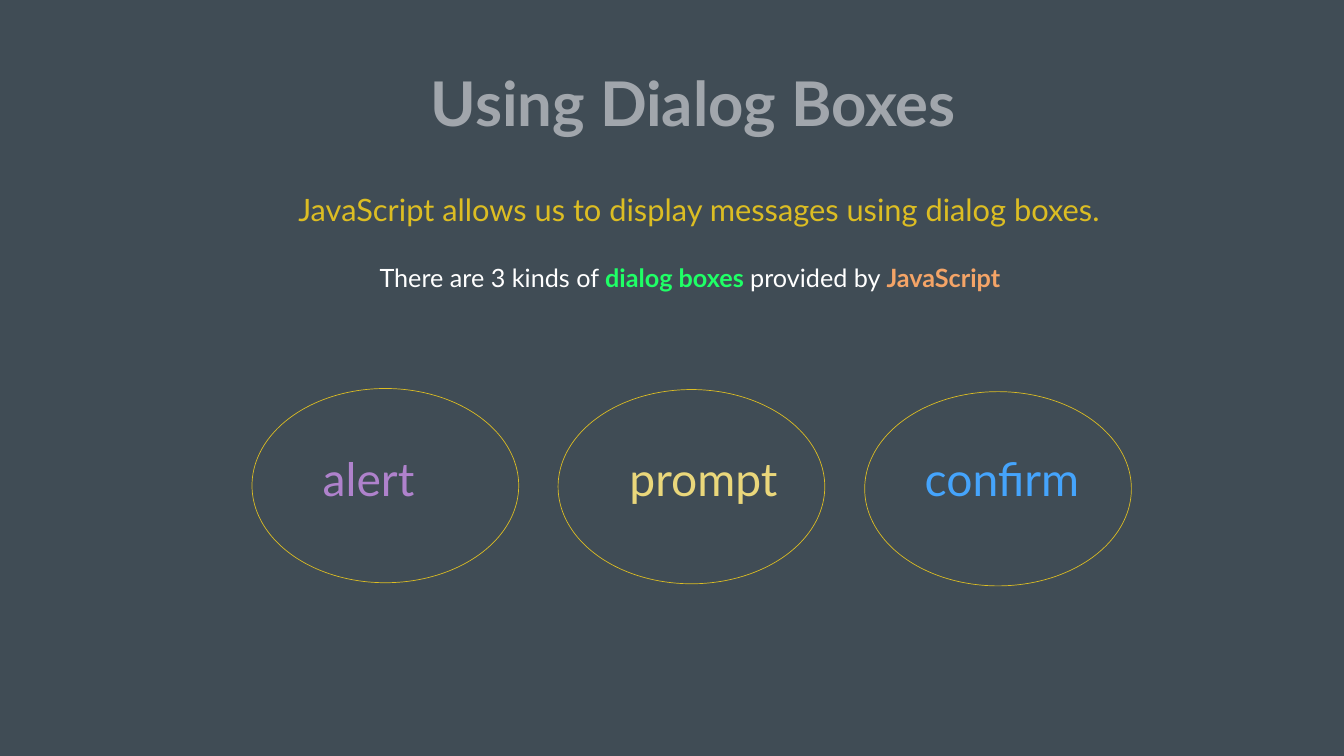
from dataclasses import dataclass

from pptx import Presentation
from pptx.dml.color import RGBColor
from pptx.enum.shapes import MSO_SHAPE
from pptx.enum.text import MSO_ANCHOR, PP_ALIGN
from pptx.slide import Slide
from pptx.util import Emu, Pt

EMU_PER_PX = 9525
SLIDE_WIDTH, SLIDE_HEIGHT = 2560, 1440
OVAL_WIDTH, OVAL_HEIGHT = 508, 370
LABEL_TOP = 850


@dataclass(frozen=True)
class Theme:
    font: str = "Lato"
    background: str = "404C55"
    title: str = "A1A6AC"
    gold: str = "DCBD23"
    white: str = "FFFFFF"
    green: str = "1FFF66"
    orange: str = "F4A467"
    purple: str = "AF82CC"
    yellow: str = "EAD77B"
    blue: str = "45A4FC"
    title_size: int = 88
    label_size: int = 66
    intro_size: int = 44
    detail_size: int = 36
    line_width: int = 1


THEME = Theme()


@dataclass(frozen=True)
class Box:
    left: int
    top: int
    width: int
    height: int

    def emu(self) -> tuple[Emu, ...]:
        return tuple(
            Emu(length * EMU_PER_PX)
            for length in (self.left, self.top, self.width, self.height)
        )


@dataclass(frozen=True)
class TextRun:
    text: str
    color: str
    bold: bool = False


@dataclass(frozen=True)
class TextBlock:
    box: Box
    size: int
    runs: tuple[TextRun, ...]
    inset: int = 8
    anchor: MSO_ANCHOR = MSO_ANCHOR.TOP


@dataclass(frozen=True)
class DialogKind:
    oval_left: int
    oval_top: int
    label: TextRun
    label_box: Box


HEADINGS = (
    TextBlock(
        Box(148, 115, 2345, 157),
        THEME.title_size,
        (TextRun("Using Dialog Boxes", THEME.title, True),),
        anchor=MSO_ANCHOR.MIDDLE,
    ),
    TextBlock(
        Box(391, 364, 1882, 142),
        THEME.intro_size,
        (TextRun("JavaScript allows us to display messages using dialog boxes.", THEME.gold),),
        inset=0,
    ),
    TextBlock(
        Box(355, 492, 1918, 132),
        THEME.detail_size,
        (
            TextRun("There are 3 kinds of ", THEME.white),
            TextRun("dialog boxes ", THEME.green, True),
            TextRun("provided by ", THEME.white),
            TextRun("JavaScript", THEME.orange, True),
        ),
    ),
)

DIALOG_KINDS = (
    DialogKind(480, 740, TextRun("alert", THEME.purple), Box(550, LABEL_TOP, 304, 122)),
    DialogKind(1063, 742, TextRun("prompt", THEME.yellow), Box(1126, LABEL_TOP, 428, 228)),
    DialogKind(1647, 746, TextRun("confirm", THEME.blue), Box(1712, LABEL_TOP, 393, 228)),
)


def add_text(slide: Slide, block: TextBlock) -> None:
    frame = slide.shapes.add_textbox(*block.box.emu()).text_frame
    frame.word_wrap = True
    frame.vertical_anchor = block.anchor
    inset = Emu(block.inset * EMU_PER_PX)
    frame.margin_left = frame.margin_right = inset
    frame.margin_top = frame.margin_bottom = inset
    paragraph = frame.paragraphs[0]
    paragraph.alignment = PP_ALIGN.CENTER
    for text_run in block.runs:
        run = paragraph.add_run()
        run.text = text_run.text
        run.font.name = THEME.font
        run.font.size = Pt(block.size)
        run.font.bold = text_run.bold
        run.font.color.rgb = RGBColor.from_string(text_run.color)


def add_oval(slide: Slide, box: Box) -> None:
    shape = slide.shapes.add_shape(MSO_SHAPE.OVAL, *box.emu())
    shape.shadow.inherit = False
    shape.fill.background()
    shape.line.color.rgb = RGBColor.from_string(THEME.gold)
    shape.line.width = Pt(THEME.line_width)


def main() -> None:
    presentation = Presentation()
    presentation.slide_width = Emu(SLIDE_WIDTH * EMU_PER_PX)
    presentation.slide_height = Emu(SLIDE_HEIGHT * EMU_PER_PX)
    slide = presentation.slides.add_slide(presentation.slide_layouts[6])
    slide.background.fill.solid()
    slide.background.fill.fore_color.rgb = RGBColor.from_string(THEME.background)

    for heading in HEADINGS:
        add_text(slide, heading)
    for kind in DIALOG_KINDS:
        add_oval(slide, Box(kind.oval_left, kind.oval_top, OVAL_WIDTH, OVAL_HEIGHT))
    for kind in DIALOG_KINDS:
        add_text(slide, TextBlock(kind.label_box, THEME.label_size, (kind.label,)))

    presentation.save("out.pptx")


if __name__ == "__main__":
    main()
